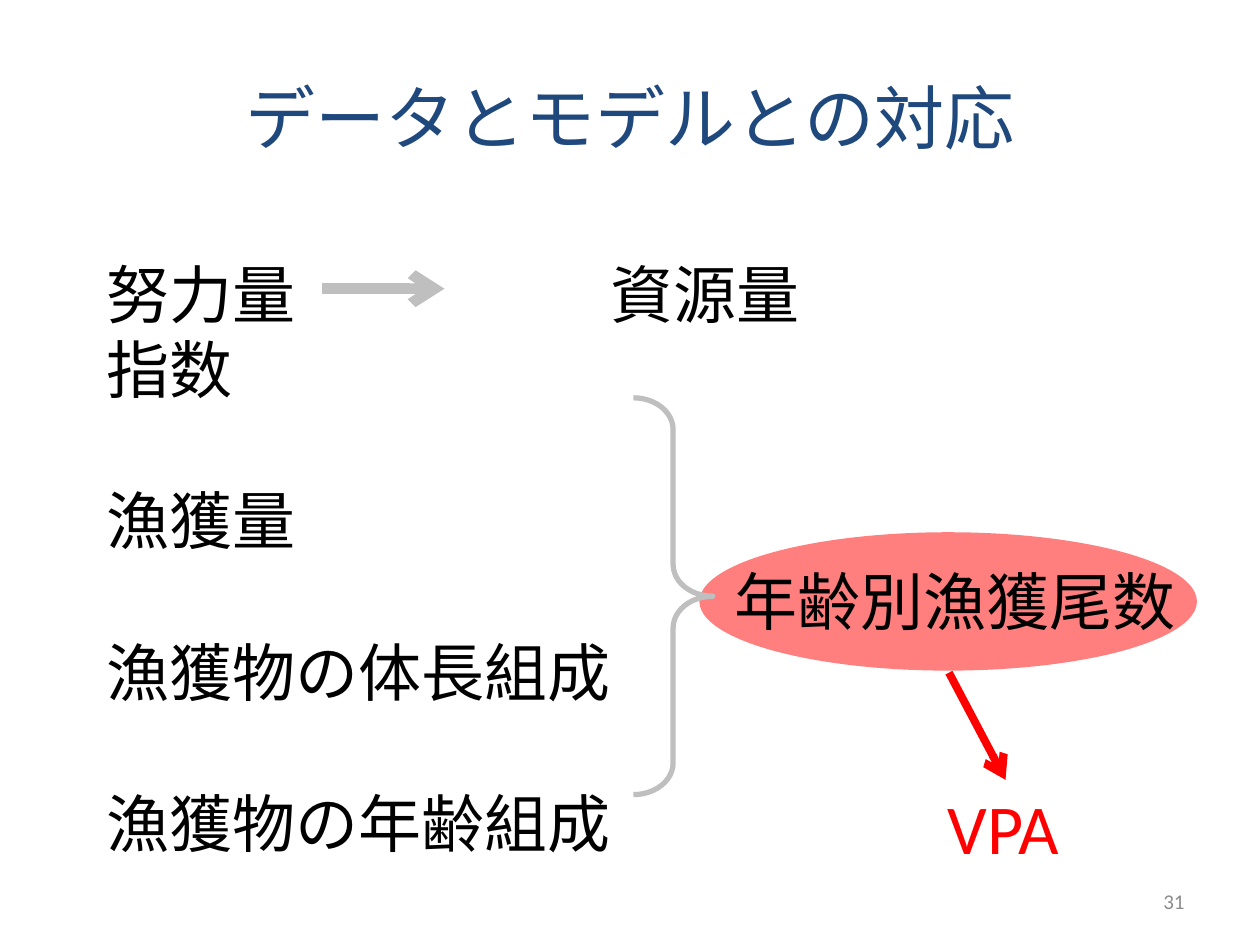
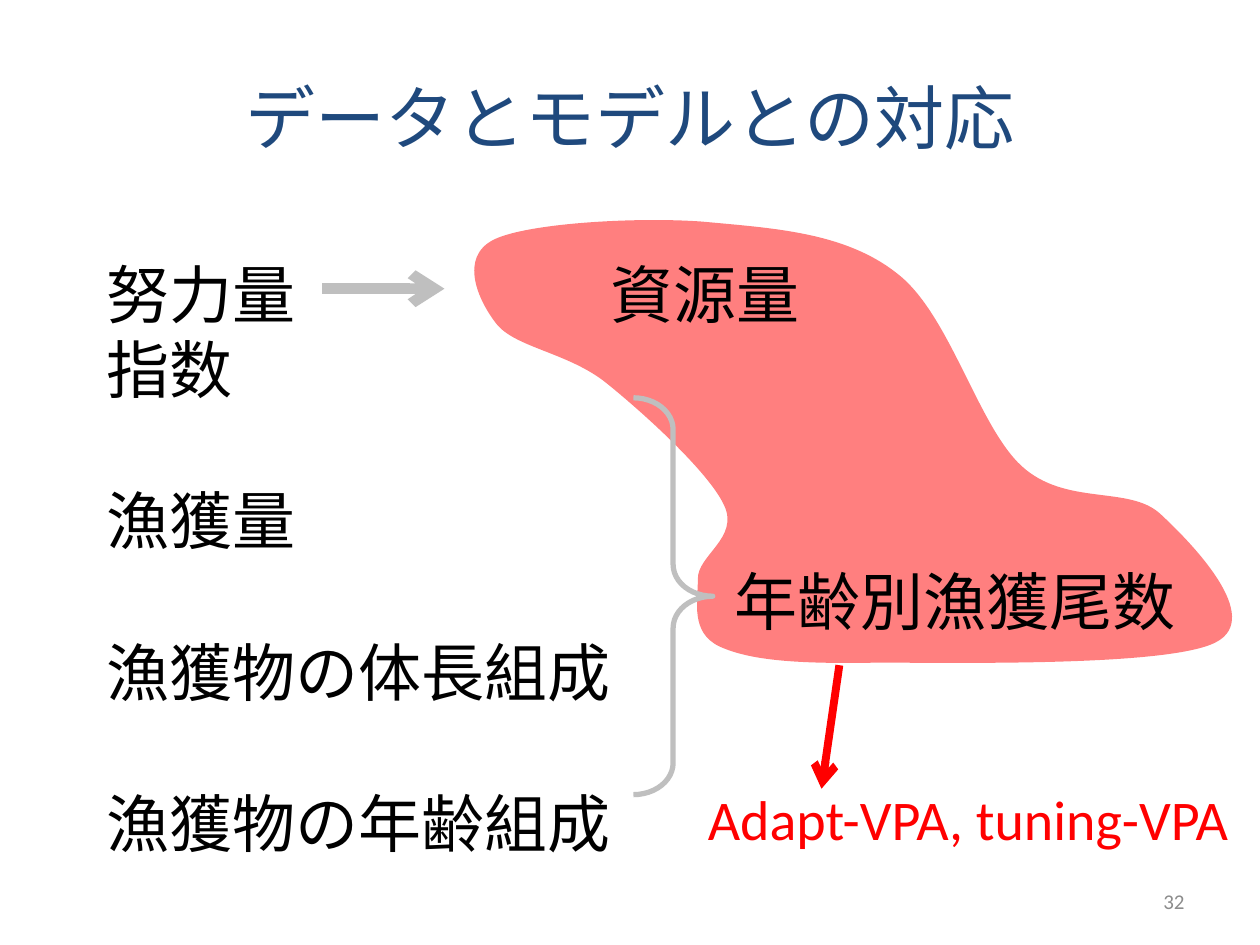
"""Build two slides that match fishery data with stock assessment models."""
import lxml.etree
import pptx
import pptx.dml.color
import pptx.enum.shapes
import pptx.enum.text
import pptx.oxml.ns
import pptx.util

Cm = pptx.util.Cm
Pt = pptx.util.Pt
qn = pptx.oxml.ns.qn
Align = pptx.enum.text.PP_ALIGN
Anchor = pptx.enum.text.MSO_ANCHOR
AutoSize = pptx.enum.text.MSO_AUTO_SIZE
Shape = pptx.enum.shapes.MSO_SHAPE

FONT = "Calibri"
BLACK, RED, GREY, NAVY, NUMBER_GREY = "000000", "FF0000", "BFBFBF", "1F497D", "8C8C8C"


def color(hex_string):
    return pptx.dml.color.RGBColor.from_string(hex_string)


def add_text(page, lines, left, top, width, height, size, hue,
             align=Align.LEFT, anchor=Anchor.TOP, wrap=True, gap=0, tab=None):
    box = page.shapes.add_textbox(Cm(left), Cm(top), Cm(width), Cm(height))
    frame = box.text_frame
    frame.word_wrap = wrap
    frame.vertical_anchor = anchor
    if anchor == Anchor.TOP:
        frame.auto_size = AutoSize.SHAPE_TO_FIT_TEXT
    frame.text = "\n".join(lines)
    for index, para in enumerate(frame.paragraphs):
        para.alignment = align
        if index and gap:
            para.space_before = Pt(gap)
        if tab:
            tabs = lxml.etree.SubElement(para._p.get_or_add_pPr(), qn("a:tabLst"))
            lxml.etree.SubElement(tabs, qn("a:tab"), pos=str(Cm(tab)), algn="l")
        for span in para.runs:
            span.font.name = FONT
            span.font.size = Pt(size)
            span.font.color.rgb = color(hue)


data_lines = ["努力量\t資源量指数", "漁獲量", "漁獲物の体長組成", "漁獲物の年齢組成"]

region_left, region_top, region_right, region_bottom = 9.55, 4.44, 24.84, 13.38
region_start = (14.6, 10.19)
region_curves = [
    [(14.3, 9.53), (12.98, 8.33), (12.22, 7.72)],
    [(11.46, 7.11), (10.39, 7.01), (10.01, 6.53)],
    [(9.63, 6.05), (9.25, 5.18), (9.96, 4.83)],
    [(10.64, 4.5), (12.83, 4.37), (14.17, 4.47)],
    [(15.54, 4.6), (17.02, 4.67), (18.08, 5.51)],
    [(19.15, 6.32), (19.71, 8.59), (20.6, 9.4)],
    [(21.49, 10.21), (22.76, 9.78), (23.39, 10.36)],
    [(24.05, 10.97), (25.48, 12.45), (24.51, 12.95)],
    [(23.57, 13.44), (19.35, 13.36), (17.68, 13.36)],
    [(16.03, 13.39), (15.11, 13.31), (14.5, 13.03)],
    [(13.92, 12.75), (14.07, 12.14), (14.07, 11.68)],
    [(14.05, 11.2), (14.91, 10.85), region_start],
]
region_moves = [("a:moveTo", [region_start])]
region_moves += [("a:cubicBezTo", curve) for curve in region_curves]
region_moves.append(("a:close", []))

slides = [
    {"number": "31", "region": False, "arrow": (19.13, 13.56, 20.27, 15.72),
     "model": "VPA", "place": (18.85, 15.7, 5.28, 1.96), "size": 40, "wrap": True},
    {"number": "32", "region": True, "arrow": (16.92, 13.41, 16.56, 15.9),
     "model": "Adapt-VPA, tuning-VPA", "place": (14.02, 15.7, 11.15, 1.63), "size": 32, "wrap": False},
]

deck = pptx.Presentation()
deck.slide_width, deck.slide_height = Cm(25.4), Cm(19.05)

for content in slides:
    page = deck.slides.add_slide(deck.slide_layouts[6])

    if content["region"]:
        outline = page.shapes.build_freeform(Cm(region_left), Cm(region_top))
        outline.add_line_segments([(Cm(region_right), Cm(region_bottom))])
        highlight = outline.convert_to_shape()
        route = next(highlight._element.iter(qn("a:path")))
        for child in list(route):
            route.remove(child)
        for move, points in region_moves:
            element = lxml.etree.SubElement(route, qn(move))
            for x, y in points:
                lxml.etree.SubElement(element, qn("a:pt"),
                                      x=str(Cm(x - region_left)), y=str(Cm(y - region_top)))
    else:
        highlight = page.shapes.add_shape(Shape.OVAL, Cm(14.1), Cm(10.73), Cm(10.03), Cm(2.79))
    highlight.shadow.inherit = False
    highlight.line.fill.background()
    highlight.fill.solid()
    highlight.fill.fore_color.rgb = color(RED)
    tint = highlight._element.spPr.find(qn("a:solidFill"))[0]
    lxml.etree.SubElement(tint, qn("a:alpha"), val="50000")

    add_text(page, ["データとモデルとの対応"], 1.27, 0.76, 22.86, 3.18, 40, NAVY,
             align=Align.CENTER, anchor=Anchor.MIDDLE)

    brace = page.shapes.add_shape(Shape.RIGHT_BRACE, Cm(12.77), Cm(8.02), Cm(1.6), Cm(8))
    brace.adjustments[0] = 0.4
    brace.shadow.inherit = False
    brace.fill.background()
    brace.line.color.rgb = color(GREY)
    brace.line.width = Pt(3)

    add_text(page, ["年齢別漁獲尾数"], 14.55, 11.21, 9.5, 1.8, 36, BLACK, wrap=False)
    add_text(page, data_lines, 1.9, 5.02, 15.04, 14.1, 36, BLACK, gap=43.2, tab=10.16)

    arrows = [((6.5, 5.82, 8.96, 5.82), GREY, 6), (content["arrow"], RED, 4.5)]
    for ends, hue, weight in arrows:
        arrow = page.shapes.add_connector(
            pptx.enum.shapes.MSO_CONNECTOR.STRAIGHT, *[Cm(value) for value in ends])
        arrow.line.color.rgb = color(hue)
        arrow.line.width = Pt(weight)
        lxml.etree.SubElement(arrow.line._get_or_add_ln(), qn("a:tailEnd"), type="arrow")
        lxml.etree.SubElement(arrow._element.spPr, qn("a:effectLst"))

    add_text(page, [content["model"]], *content["place"], content["size"], RED, wrap=content["wrap"])
    add_text(page, [content["number"]], 18.2, 17.66, 5.93, 1.01, 12, NUMBER_GREY,
             align=Align.RIGHT, anchor=Anchor.MIDDLE)

deck.save("out.pptx")
